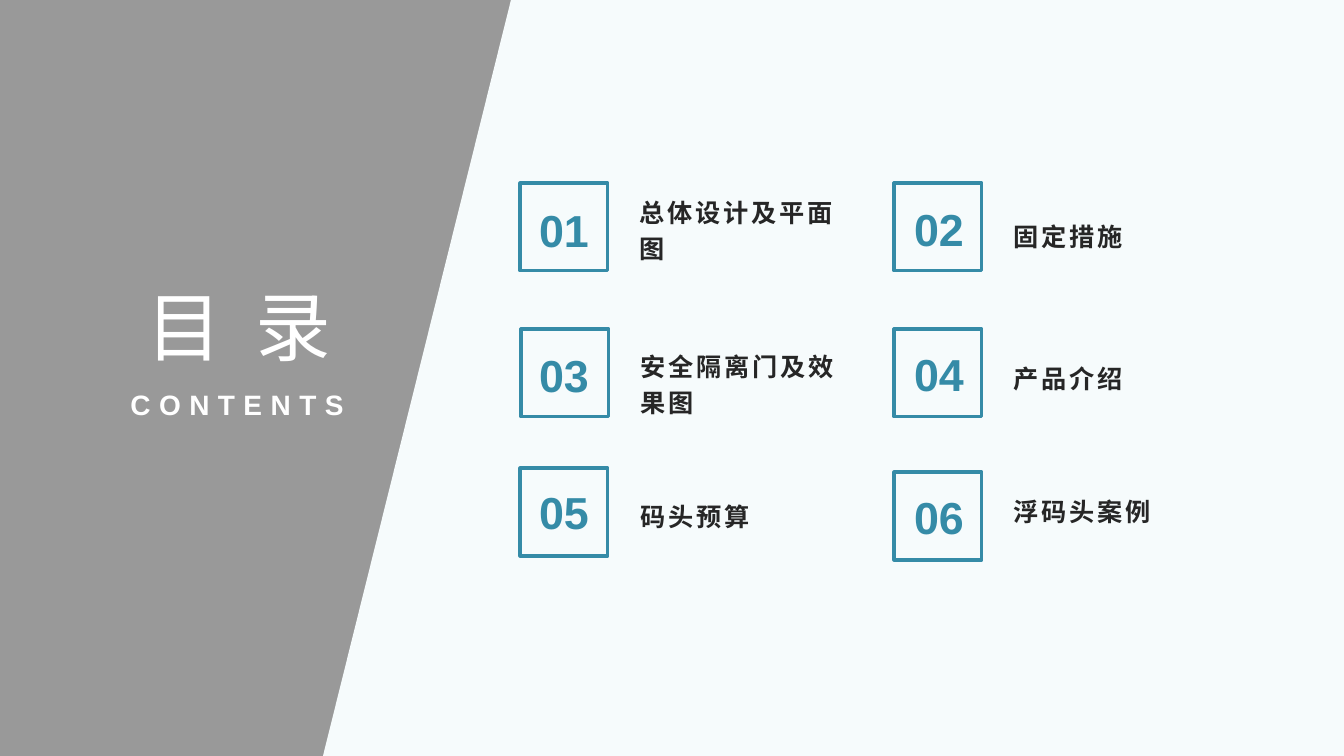
from dataclasses import dataclass

from lxml.etree import SubElement
from pptx import Presentation
from pptx.dml.color import RGBColor
from pptx.enum.shapes import MSO_SHAPE
from pptx.enum.text import MSO_ANCHOR, MSO_AUTO_SIZE, PP_ALIGN
from pptx.oxml.ns import qn
from pptx.util import Emu, Pt

EMU_PER_PX = 914400 / 100.8
WIDTH, HEIGHT = 1344, 756
SQUARE = 88
NUMBER_WIDTH, NUMBER_HEIGHT = 72, 66
LABEL_WIDTH = 221


def px(n):
    return Emu(round(n * EMU_PER_PX))


@dataclass(frozen=True)
class Theme:
    font: str = "Arial"
    shade: str = "000000"
    panel: str = "F6FBFC"
    accent: str = "358BA7"
    ink: str = "262626"
    light: str = "FFFFFF"
    title: int = 54
    subtitle: int = 20
    number: int = 32
    label: int = 18


def write(tf, text, *, font, size, color, bold=False, align=PP_ALIGN.LEFT,
          anchor=MSO_ANCHOR.TOP, line=1.0, spacing=0):
    tf.word_wrap = True
    tf.auto_size = MSO_AUTO_SIZE.NONE
    tf.vertical_anchor = anchor
    p = tf.paragraphs[0]
    p.alignment = align
    p.line_spacing = line
    r = p.add_run()
    r.text = text
    r.font.name = font
    r.font.size = Pt(size)
    r.font.bold = bold
    r.font.color.rgb = RGBColor.from_string(color)
    if spacing:
        r.font._element.set("spc", str(spacing * 100))


class Deck:
    def __init__(self, theme):
        self.theme = theme
        self.prs = Presentation()
        self.prs.slide_width, self.prs.slide_height = px(WIDTH), px(HEIGHT)
        self.s = self.prs.slides.add_slide(self.prs.slide_layouts[5])

    def rect(self, x, y, w, h, fill=None, alpha=None, line=None):
        sp = self.s.shapes.add_shape(MSO_SHAPE.RECTANGLE, px(x), px(y), px(w), px(h))
        self.paint(sp, fill, line)
        if alpha is not None:
            clr = sp._element.spPr.find(qn("a:solidFill"))[0]
            SubElement(clr, qn("a:alpha")).set("val", str(alpha * 1000))

    def outline(self, points):
        fb = self.s.shapes.build_freeform(*points[0], scale=EMU_PER_PX)
        fb.add_line_segments(points[1:], close=True)
        self.paint(fb.convert_to_shape(), self.theme.panel)

    def paint(self, sp, fill=None, line=None):
        sp.shadow.inherit = False
        if fill:
            sp.fill.solid()
            sp.fill.fore_color.rgb = RGBColor.from_string(fill)
        else:
            sp.fill.background()
        if line:
            sp.line.color.rgb = RGBColor.from_string(line)
            sp.line.width = Pt(2.25)
        else:
            sp.line.fill.background()

    def title(self, text, x, y, w, h):
        sp = self.s.shapes.title
        sp.left, sp.top, sp.width, sp.height = px(x), px(y), px(w), px(h)
        sp.element.getparent().append(sp.element)
        write(sp.text_frame, text, font=self.theme.font, size=self.theme.title,
              color=self.theme.light, align=PP_ALIGN.CENTER,
              anchor=MSO_ANCHOR.BOTTOM, line=1.1, spacing=6)

    def text(self, text, x, y, w, h, **fmt):
        tf = self.s.shapes.add_textbox(px(x), px(y), px(w), px(h)).text_frame
        write(tf, text, font=self.theme.font, bold=True, **fmt)
        return tf

    def entry(self, number, label, x, y, number_at, label_at, label_height):
        t = self.theme
        self.rect(x, y, SQUARE, SQUARE, line=t.accent)
        tf = self.text(label, *label_at, LABEL_WIDTH, label_height, size=t.label,
                       color=t.ink, anchor=MSO_ANCHOR.BOTTOM, line=1.2, spacing=2)
        tf.margin_bottom = 0
        self.text(f"{number:02d}", *number_at, NUMBER_WIDTH, NUMBER_HEIGHT,
                  size=t.number, color=t.accent, align=PP_ALIGN.CENTER,
                  anchor=MSO_ANCHOR.MIDDLE)


ENTRIES = [
    ("总体设计及平面图", 520, 183, (528, 197), (630, 183), 81),
    ("固定措施", 894, 183, (903, 196), (1004, 206), 46),
    ("安全隔离门及效果图", 521, 329, (528, 342), (631, 342), 76),
    ("产品介绍", 894, 329, (903, 341), (1004, 348), 46),
    ("码头预算", 520, 468, (528, 479), (631, 486), 46),
    ("浮码头案例", 894, 472, (903, 484), (1004, 481), 46),
]


def main():
    theme = Theme()
    deck = Deck(theme)
    deck.rect(0, 0, WIDTH, HEIGHT, fill=theme.shade, alpha=40)
    deck.outline([(WIDTH, 0), (511, 0), (323, HEIGHT), (WIDTH, HEIGHT)])
    deck.title("目 录", 116, 264, 246, 112)
    deck.text("CONTENTS", 114, 376, 246, 58, size=theme.subtitle,
              color=theme.light, align=PP_ALIGN.CENTER, line=1.2, spacing=6)
    for number, entry in enumerate(ENTRIES, 1):
        deck.entry(number, *entry)
    deck.prs.save("out.pptx")


if __name__ == "__main__":
    main()
